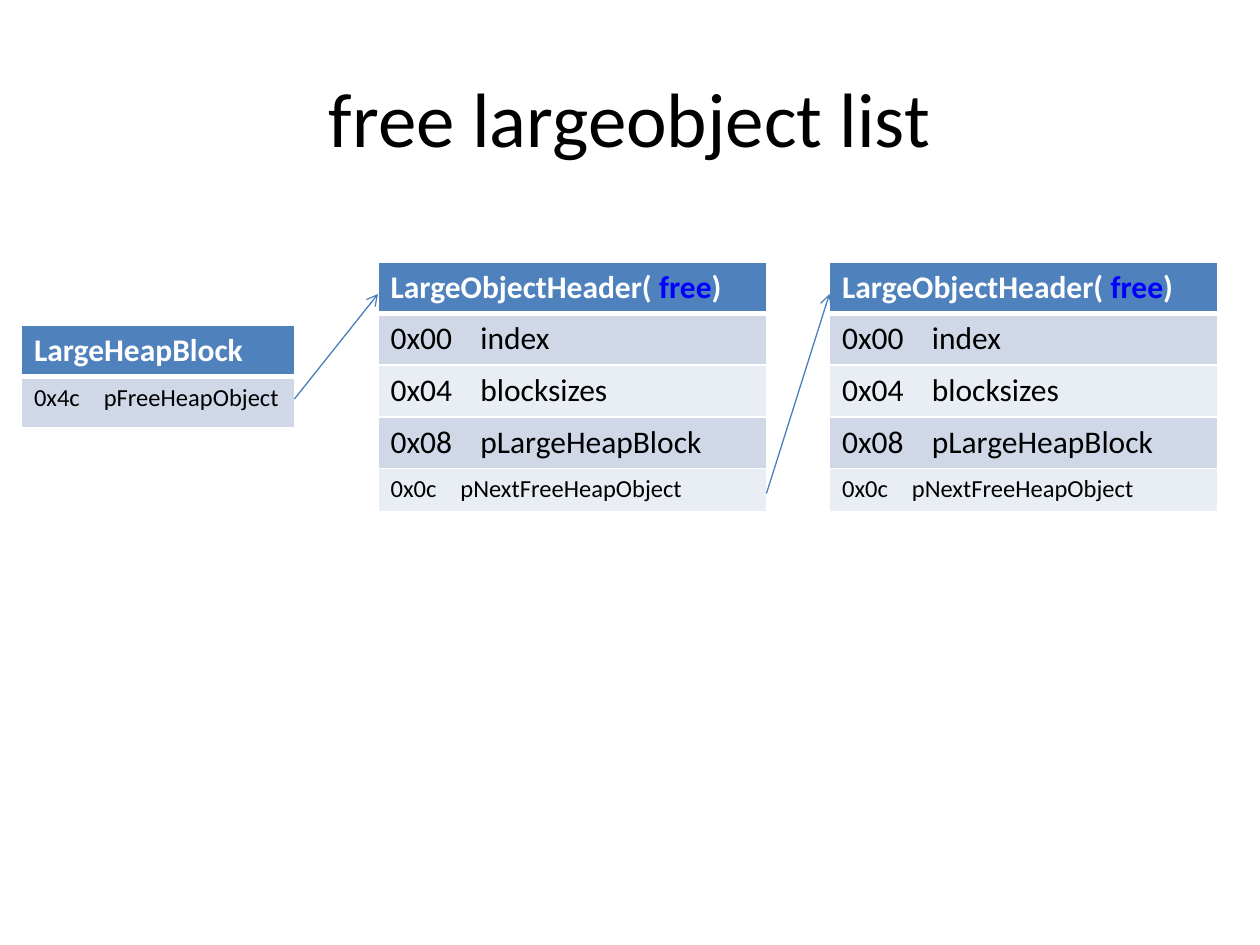
from lxml.etree import SubElement
from pptx import Presentation
from pptx.dml.color import RGBColor
from pptx.enum.shapes import MSO_CONNECTOR as Connector
from pptx.enum.text import MSO_ANCHOR as Anchor, PP_ALIGN as Align
from pptx.oxml.ns import qn
from pptx.util import Pt

FONT = "Calibri"
BLACK = RGBColor(0, 0, 0)
WHITE = RGBColor(255, 255, 255)
LINK_BLUE = RGBColor(0, 0, 255)
HEADER_FILL = RGBColor(0x4F, 0x81, 0xBD)
BAND_FILLS = [RGBColor(0xD0, 0xD8, 0xE8), RGBColor(0xE9, 0xED, 0xF4)]
ARROW = RGBColor(0x4B, 0x7E, 0xBC)
TAB_PER_SIZE = 2.85

TITLE = "free largeobject list"
OBJECT_HEADER = [("LargeObjectHeader( ", WHITE), ("free", LINK_BLUE), (")", WHITE)]
OBJECT_FIELDS = [
    ("0x00", "index", 18, 29.5),
    ("0x04", "blocksizes", 18, 29.5),
    ("0x08", "pLargeHeapBlock", 18, 29.5),
    ("0x0c", "pNextFreeHeapObject", 14, 25),
]
BLOCK_HEADER = [("LargeHeapBlock", WHITE)]
BLOCK_FIELDS = [("0x4c", "pFreeHeapObject", 14, 29.2)]

HEADER_HEIGHT = 28.8
OBJECT_WIDTH, OBJECT_TOP = 222, 150
BLOCK_LEFT, BLOCK_TOP, BLOCK_WIDTH = 12.25, 186, 156
FIRST_LEFT, SECOND_LEFT = 216, 474
TARGET_Y = 168

TABLES = [
    (SECOND_LEFT, OBJECT_TOP, OBJECT_WIDTH, OBJECT_HEADER, OBJECT_FIELDS),
    (BLOCK_LEFT, BLOCK_TOP, BLOCK_WIDTH, BLOCK_HEADER, BLOCK_FIELDS),
    (FIRST_LEFT, OBJECT_TOP, OBJECT_WIDTH, OBJECT_HEADER, OBJECT_FIELDS),
]
ARROWS = [
    (BLOCK_LEFT + BLOCK_WIDTH, 228, FIRST_LEFT, TARGET_Y),
    (FIRST_LEFT + OBJECT_WIDTH, 282, SECOND_LEFT, TARGET_Y),
]


def style_cell(cell, fill, bottom_width):
    properties = cell._tc.get_or_add_tcPr()
    for side, width in (("L", 1), ("R", 1), ("T", 1), ("B", bottom_width)):
        border = SubElement(properties, qn(f"a:ln{side}"), w=str(Pt(width)))
        solid = SubElement(border, qn("a:solidFill"))
        SubElement(solid, qn("a:srgbClr"), val=str(WHITE))
    cell.fill.solid()
    cell.fill.fore_color.rgb = fill


def set_font(paragraph, size, color, bold=False):
    font = paragraph.font
    font.name, font.size, font.bold = FONT, Pt(size), bold
    font.color.rgb = color


def add_tab_stop(paragraph, position):
    stops = SubElement(paragraph._p.get_or_add_pPr(), qn("a:tabLst"))
    SubElement(stops, qn("a:tab"), pos=str(Pt(position)), algn="l")


def add_structure(page, left, top, width, header, fields):
    heights = [HEADER_HEIGHT] + [field[3] for field in fields]
    frame = page.shapes.add_table(
        len(heights), 1, Pt(left), Pt(top), Pt(width), Pt(sum(heights)))
    table = frame.table
    for row, height in zip(table.rows, heights):
        row.height = Pt(height)

    cell = table.cell(0, 0)
    style_cell(cell, HEADER_FILL, 3)
    paragraph = cell.text_frame.paragraphs[0]
    set_font(paragraph, 18, WHITE, True)
    for text, color in header:
        span = paragraph.add_run()
        span.text = text
        span.font.color.rgb = color

    for index, (offset, name, size, _) in enumerate(fields):
        cell = table.cell(index + 1, 0)
        style_cell(cell, BAND_FILLS[index % 2], 1)
        paragraph = cell.text_frame.paragraphs[0]
        add_tab_stop(paragraph, size * TAB_PER_SIZE)
        set_font(paragraph, size, BLACK)
        paragraph.add_run().text = f"{offset}\t{name}"


def add_arrow(page, *ends):
    arrow = page.shapes.add_connector(Connector.STRAIGHT, *map(Pt, ends))
    arrow.line.color.rgb = ARROW
    arrow.line.width = Pt(0.75)
    SubElement(arrow.line._get_or_add_ln(), qn("a:tailEnd"), type="arrow")
    SubElement(arrow._element.spPr, qn("a:effectLst"))


def main():
    deck = Presentation()
    deck.slide_width, deck.slide_height = Pt(720), Pt(540)
    page = deck.slides.add_slide(deck.slide_layouts[5])

    title = page.shapes.title
    title.left, title.top, title.width, title.height = map(Pt, (36, 21.6, 648, 90))
    title.text_frame.text = TITLE
    title.text_frame.vertical_anchor = Anchor.MIDDLE
    paragraph = title.text_frame.paragraphs[0]
    paragraph.alignment = Align.CENTER
    set_font(paragraph, 44, BLACK)

    for structure in TABLES:
        add_structure(page, *structure)
    for ends in ARROWS:
        add_arrow(page, *ends)
    deck.save("out.pptx")


if __name__ == "__main__":
    main()
